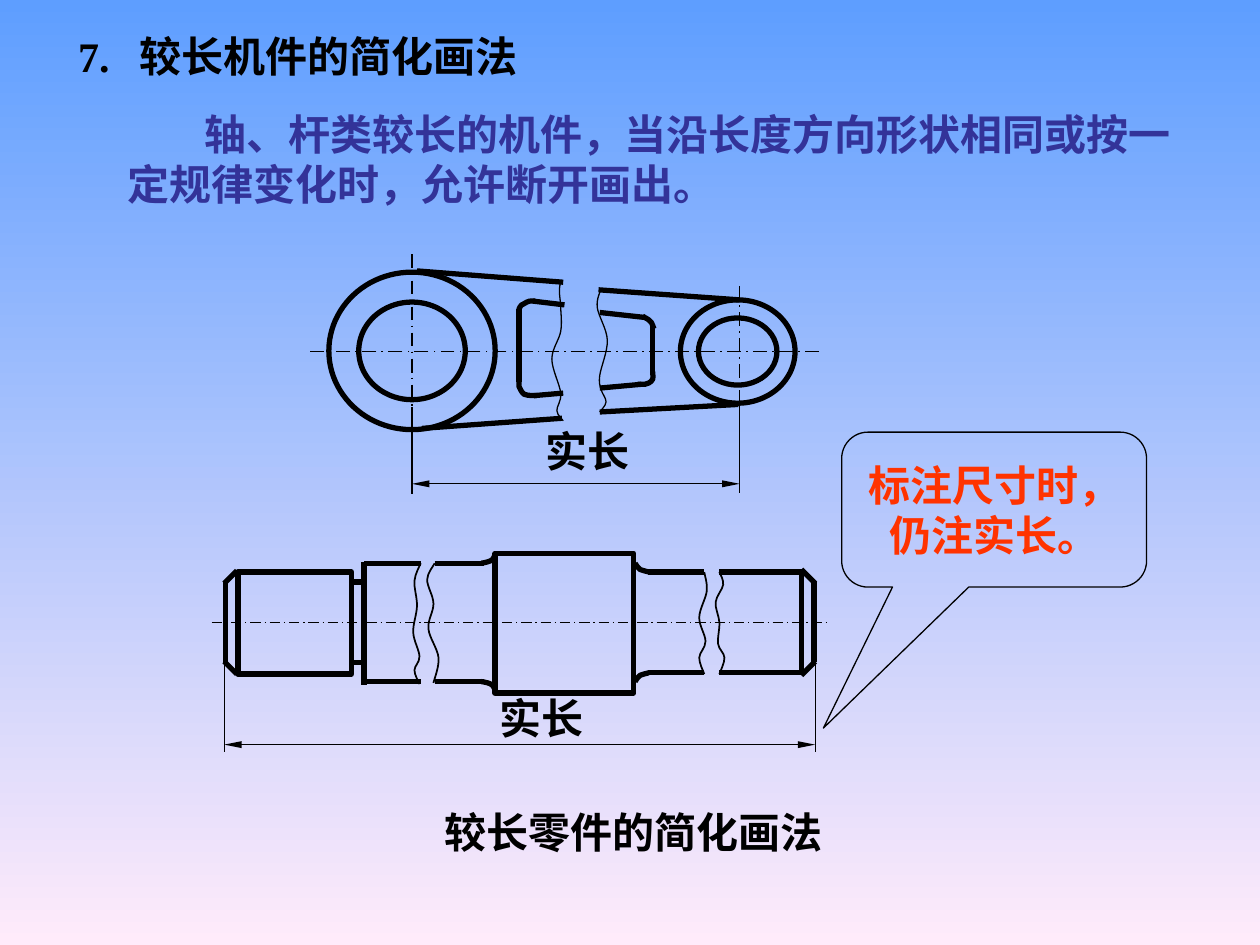
"""Build a slide on the simplified drawing of long machine parts."""
from dataclasses import dataclass

from lxml.etree import SubElement
from pptx import Presentation
from pptx.dml.color import RGBColor
from pptx.enum.dml import MSO_LINE
from pptx.enum.shapes import MSO_CONNECTOR, MSO_SHAPE
from pptx.enum.text import MSO_ANCHOR, MSO_AUTO_SIZE, PP_ALIGN
from pptx.oxml.ns import qn
from pptx.util import Inches, Pt

COLORS = {"ink": "000000", "body": "333399", "note": "FF3300", "sky": "5E9EFF", "blush": "FFEBFA"}
LATIN, CHINESE = "Times New Roman", "Noto Sans CJK SC"
THICK, THIN, MEDIUM = 3, 0.75, 1
SHAFT_AXIS = 4.94


@dataclass
class Line:
    start: tuple[float, float]
    end: tuple[float, float]
    width: float = THICK
    dashed: bool = False
    arrows: bool = False


@dataclass
class Curve:
    points: list[tuple[float, float]]
    width: float = THICK


@dataclass
class Outline:
    kind: MSO_SHAPE
    frame: tuple[float, float, float, float]
    adjustments: tuple[float, ...] = ()
    width: float = THICK


LINK_PARTS = [
    Line((3.27, 3.23), (3.27, 3.92), THIN),
    Line((5.87, 3.1), (5.87, 3.91), THIN),
    Line((3.27, 3.84), (5.87, 3.84), THIN, arrows=True),
    Line((6.5, 2.79), (2.44, 2.79), MEDIUM, dashed=True),
    Line((3.27, 2.02), (3.27, 3.52), MEDIUM, dashed=True),
    Line((5.87, 2.27), (5.87, 3.3), MEDIUM, dashed=True),
    Outline(MSO_SHAPE.DONUT, (2.61, 2.16, 1.32, 1.25), (0.19,)),
    Outline(MSO_SHAPE.DONUT, (5.4, 2.38, 0.91, 0.82), (0.175,)),
    Line((4.12, 2.45), (4.12, 3.03)),
    Line((4.47, 2.24), (3.31, 2.15)),
    Line((4.46, 3.32), (3.35, 3.4)),
    Line((4.48, 2.42), (4.23, 2.39)),
    Line((4.47, 3.12), (4.24, 3.14)),
    Line((5.12, 2.52), (4.76, 2.48)),
    Line((5.18, 2.59), (5.18, 2.98)),
    Line((5.87, 2.38), (4.75, 2.3)),
    Line((5.86, 3.21), (4.76, 3.27)),
    Line((5.09, 3.05), (4.76, 3.08)),
    Curve([(5.1, 2.51), (5.15, 2.54), (5.17, 2.56), (5.19, 2.61)]),
    Curve([(5.18, 2.95), (5.18, 3.01), (5.15, 3.04), (5.12, 3.05), (5.06, 3.05)]),
    Curve([(4.25, 2.39), (4.2, 2.39), (4.16, 2.41), (4.14, 2.42), (4.12, 2.45), (4.12, 2.47)]),
    Curve([(4.26, 3.14), (4.22, 3.14), (4.16, 3.13), (4.13, 3.09), (4.12, 3.07), (4.12, 3.01)]),
    Curve([(4.77, 2.29), (4.74, 2.44), (4.82, 2.7), (4.76, 2.98), (4.77, 3.09),
           (4.81, 3.19), (4.76, 3.27)], THIN),
    Curve([(4.45, 2.23), (4.44, 2.31), (4.45, 2.44), (4.45, 2.63), (4.38, 2.85),
           (4.45, 3.12), (4.42, 3.26), (4.47, 3.34)], THIN),
]

SHAFT_PARTS = [
    Line((1.78, 5.24), (1.78, 5.97), THIN),
    Line((6.47, 5.24), (6.47, 5.97), THIN),
    Line((1.78, 5.91), (6.47, 5.91), THIN, arrows=True),
    Line((1.68, SHAFT_AXIS), (6.59, SHAFT_AXIS), THIN, dashed=True),
    Outline(MSO_SHAPE.RECTANGLE, (1.89, 4.54, 0.9, 0.81)),
    Outline(MSO_SHAPE.RECTANGLE, (3.93, 4.39, 1.1, 1.11)),
    Line((1.79, 5.27), (1.79, 4.62)),
    Line((2.89, 4.46), (2.89, 5.44)),
    Line((6.36, 4.52), (6.36, 5.36)),
    Line((6.46, 5.25), (6.46, 4.62)),
    Curve([(3.34, 4.47), (3.29, 4.61), (3.31, 4.81), (3.28, 5.02), (3.33, 5.21),
           (3.29, 5.32), (3.33, 5.43)], MEDIUM),
    Curve([(3.45, 4.47), (3.39, 4.6), (3.44, 4.79), (3.4, 4.99), (3.48, 5.22),
           (3.44, 5.42)], MEDIUM),
    Curve([(5.59, 4.54), (5.61, 4.69), (5.55, 4.9), (5.6, 5.09), (5.55, 5.22),
           (5.59, 5.35)], MEDIUM),
    Curve([(5.71, 4.54), (5.74, 4.64), (5.68, 4.78), (5.71, 4.94), (5.7, 5.11),
           (5.75, 5.22), (5.71, 5.35)], MEDIUM),
]

SHAFT_UPPER_HALF = [
    Curve([(1.88, 4.53), (1.78, 4.63)]),
    Line((2.78, 4.62), (2.88, 4.62)),
    Line((2.89, 4.47), (3.34, 4.47)),
    Line((3.45, 4.47), (3.84, 4.47)),
    Line((5.14, 4.54), (5.59, 4.54)),
    Line((5.71, 4.54), (6.36, 4.54)),
    Curve([(6.36, 4.52), (6.47, 4.63)]),
    Curve([(3.82, 4.47), (3.87, 4.46), (3.91, 4.44), (3.93, 4.4)]),
    Curve([(5.15, 4.54), (5.11, 4.53), (5.08, 4.52), (5.06, 4.5), (5.04, 4.47)]),
]


def mirrored(part: Line | Curve) -> Line | Curve:
    """Reflect a part across the shaft axis."""
    def flip(point):
        return point[0], 2 * SHAFT_AXIS - point[1]
    if isinstance(part, Line):
        return Line(flip(part.start), flip(part.end), part.width)
    return Curve([flip(point) for point in part.points], part.width)


def bend(shape) -> None:
    """Turn the straight segments of a freeform into one smooth run of Bézier curves."""
    outline = shape._element.find(".//" + qn("a:path"))
    points = [(int(p.get("x")), int(p.get("y"))) for p in outline.iter(qn("a:pt"))]
    for segment in outline.findall(qn("a:lnTo")):
        outline.remove(segment)
    padded = [points[0], *points, points[-1]]
    for a, b, c, d in zip(padded, padded[1:], padded[2:], padded[3:]):
        leaving = [q + (r - p) / 6 for p, q, r in zip(a, b, c)]
        arriving = [r - (s - q) / 6 for q, r, s in zip(b, c, d)]
        curve = SubElement(outline, qn("a:cubicBezTo"))
        for x, y in (leaving, arriving, c):
            SubElement(curve, qn("a:pt"), x=str(round(x)), y=str(round(y)))


def draw(page, part: Line | Curve | Outline):
    """Draw one part of a drawing."""
    if isinstance(part, Line):
        ends = map(Inches, (*part.start, *part.end))
        shape = page.shapes.add_connector(MSO_CONNECTOR.STRAIGHT, *ends)
        SubElement(shape._element.spPr, qn("a:effectLst"))
    elif isinstance(part, Curve):
        points = [(Inches(x), Inches(y)) for x, y in part.points]
        builder = page.shapes.build_freeform(*points[0])
        shape = builder.add_line_segments(points[1:], close=False).convert_to_shape()
        if len(points) > 2:
            bend(shape)
    else:
        shape = page.shapes.add_shape(part.kind, *map(Inches, part.frame))
        for index, value in enumerate(part.adjustments):
            shape.adjustments[index] = value
    shape.line.color.rgb = RGBColor.from_string(COLORS["ink"])
    shape.line.width = Pt(part.width)
    if not isinstance(part, Line):
        shape.shadow.inherit = False
        shape.fill.background()
        return shape
    if part.dashed:
        shape.line.dash_style = MSO_LINE.LONG_DASH_DOT
    if part.arrows:
        for end in ("a:headEnd", "a:tailEnd"):
            SubElement(shape.line._get_or_add_ln(), qn(end), type="triangle", w="sm", len="lg")
    return shape


def write(box, text: str, color: str = "ink", align=PP_ALIGN.CENTER,
          anchor=MSO_ANCHOR.MIDDLE, wrap: bool = True):
    """Fill a box with one bold paragraph and return the paragraph."""
    frame = box.text_frame
    frame.text = text
    frame.word_wrap = wrap
    frame.auto_size = MSO_AUTO_SIZE.NONE
    frame.vertical_anchor = anchor
    para = frame.paragraphs[0]
    para.alignment = align
    para.space_before = Pt(0)
    for span in para.runs:
        span.font.name, span.font.size, span.font.bold = LATIN, Pt(24), True
        span.font.color.rgb = RGBColor.from_string(COLORS[color])
        SubElement(span._r.get_or_add_rPr(), qn("a:ea"), typeface=CHINESE)
    return para


def place(box, left: float, top: float, width: float, height: float) -> None:
    """Move and size a placeholder."""
    box.left, box.top, box.width, box.height = map(Inches, (left, top, width, height))


def main() -> None:
    """Build and save the deck."""
    deck = Presentation()
    deck.slide_width, deck.slide_height = Inches(10), Inches(7.5)
    page = deck.slides.add_slide(deck.slide_layouts[1])
    fill = page.background.fill
    fill.gradient()
    fill.gradient_angle = 270
    for stop, position, color in zip(fill.gradient_stops, (0, 1), ("sky", "blush")):
        stop.position, stop.color.rgb = position, RGBColor.from_string(COLORS[color])

    title, body = page.placeholders
    place(title, 0.52, 0.19, 3.83, 0.5)
    para = write(title, "7.\t较长机件的简化画法", align=PP_ALIGN.LEFT, anchor=MSO_ANCHOR.TOP)
    tabs = SubElement(para._p.get_or_add_pPr(), qn("a:tabLst"))
    SubElement(tabs, qn("a:tab"), pos=str(Inches(0.49)), algn="l")
    place(body, 0.91, 0.81, 8.66, 0.9)
    para = write(body, "轴、杆类较长的机件，当沿长度方向形状相同或按一定规律变化时，允许断开画出。",
                 "body", PP_ALIGN.LEFT, MSO_ANCHOR.TOP)
    properties = para._p.get_or_add_pPr()
    properties.set("marL", "0")
    properties.set("indent", str(Inches(0.61)))
    SubElement(properties, qn("a:buNone"))

    for part in [*LINK_PARTS, *SHAFT_PARTS, *SHAFT_UPPER_HALF, *map(mirrored, SHAFT_UPPER_HALF)]:
        draw(page, part)
    for text, frame, wrap in (("实长", (3.96, 3.33, 1.41, 0.5), True),
                              ("实长", (3.71, 5.45, 1.18, 0.5), True),
                              ("较长零件的简化画法", (3.43, 6.35, 3.2, 0.5), False)):
        write(page.shapes.add_textbox(*map(Inches, frame)), text, wrap=wrap)
    callout = draw(page, Outline(MSO_SHAPE.ROUNDED_RECTANGULAR_CALLOUT, (6.68, 3.43, 2.42, 1.23),
                                 (-0.56, 1.41, 0.17), THIN))
    write(callout, "标注尺寸时，仍注实长。", "note")
    deck.save("out.pptx")


if __name__ == "__main__":
    main()
